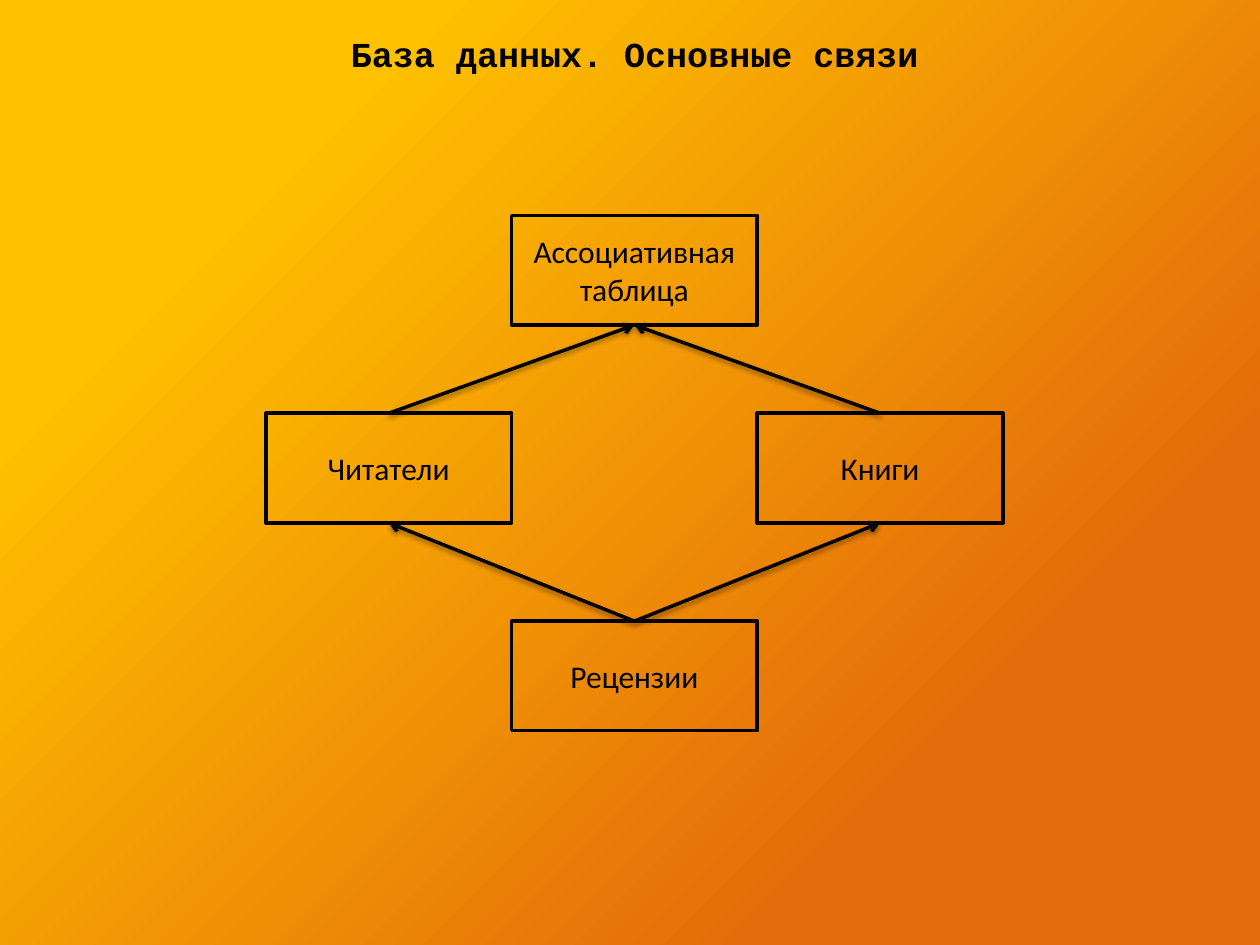
from dataclasses import dataclass

import pptx
import pptx.dml.color
import pptx.enum.dml
import pptx.enum.shapes
import pptx.enum.text
import pptx.oxml
import pptx.oxml.ns
import pptx.util

Inches = pptx.util.Inches
Pt = pptx.util.Pt
INK = "000000"
WIDTH, HEIGHT = 1.95, 0.87
LEFT = 2.11
TOPS = (1.71, 3.28, 4.93)
NS = pptx.oxml.ns.nsdecls("a")


@dataclass(frozen=True)
class Node:
    text: str
    col: int
    row: int


NODES = {
    "join": Node("Ассоциативная\nтаблица", 1, 0),
    "reader": Node("Читатели", 0, 1),
    "book": Node("Книги", 2, 1),
    "review": Node("Рецензии", 1, 2),
}
LINKS = (("reader", "join"), ("book", "join"), ("review", "reader"), ("review", "book"))


def color(code: str):
    return pptx.dml.color.RGBColor.from_string(code)


def write(frame, text: str, font: str, size: int, bold: bool = False):
    frame.word_wrap = True
    frame.text = text
    for para in frame.paragraphs:
        para.alignment = pptx.enum.text.PP_ALIGN.CENTER
        para.font.name = font
        para.font.size = Pt(size)
        para.font.bold = bold
        para.font.color.rgb = color(INK)


def paint(slide):
    fill = slide.background.fill
    fill.gradient()
    for stop, (place, code) in zip(fill.gradient_stops, ((0.23, "E46C0A"), (0.8, "FFC000"))):
        stop.position = place
        stop.color.rgb = color(code)
    lin = next(slide.element.iter(pptx.oxml.ns.qn("a:lin")))
    focus = pptx.oxml.parse_xml(
        f'<a:path {NS} path="circle"><a:fillToRect l="100000" t="100000"/></a:path>'
    )
    lin.getparent().replace(lin, focus)


def draw_node(slide, node: Node):
    box = slide.shapes.add_shape(
        pptx.enum.shapes.MSO_SHAPE.RECTANGLE,
        Inches(LEFT + node.col * WIDTH), Inches(TOPS[node.row]),
        Inches(WIDTH), Inches(HEIGHT),
    )
    box.shadow.inherit = False
    box.fill.background()
    box.line.color.rgb = color(INK)
    box.line.width = Pt(2)
    write(box.text_frame, node.text, "Calibri", 18)
    return box


def draw_link(slide, start, end):
    link = slide.shapes.add_connector(pptx.enum.shapes.MSO_CONNECTOR.STRAIGHT, 0, 0, 0, 0)
    link.begin_connect(start, 0)
    link.end_connect(end, 2)
    link.line.color.rgb = color(INK)
    link.line.width = Pt(2)
    link.line._get_or_add_ln().append(pptx.oxml.parse_xml(f'<a:tailEnd {NS} type="arrow"/>'))
    link._element.spPr.append(pptx.oxml.parse_xml(
        f'<a:effectLst {NS}><a:outerShdw blurRad="{Pt(3.1)}" dist="{Pt(1.6)}" '
        f'dir="5400000" rotWithShape="0"><a:srgbClr val="{INK}"><a:alpha val="38000"/>'
        '</a:srgbClr></a:outerShdw></a:effectLst>'
    ))


def main():
    """Build the slide of the main database relations."""
    deck = pptx.Presentation()
    deck.slide_width, deck.slide_height = Inches(10), Inches(7.5)
    slide = deck.slides.add_slide(deck.slide_layouts[6])
    paint(slide)
    title = slide.shapes.add_textbox(Inches(1.3), Inches(0.21), Inches(7.48), Inches(0.44))
    write(title.text_frame, "База данных. Основные связи", "Courier New", 20, True)
    boxes = {key: draw_node(slide, node) for key, node in NODES.items()}
    for start, end in LINKS:
        draw_link(slide, boxes[start], boxes[end])
    deck.save("out.pptx")


if __name__ == "__main__":
    main()
